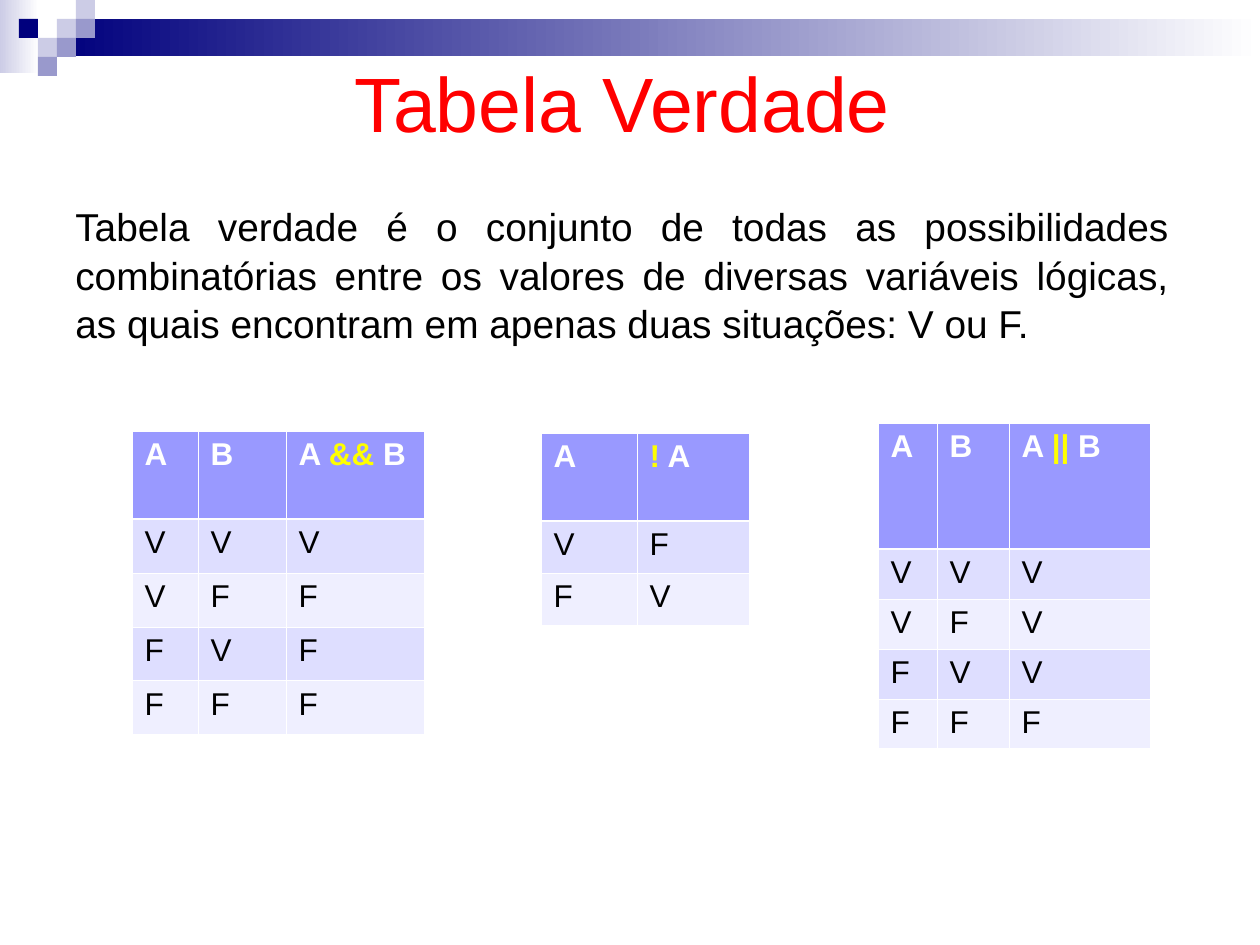
from lxml.etree import SubElement
from pptx import Presentation
from pptx.dml.color import RGBColor
from pptx.enum.shapes import MSO_SHAPE as Shape
from pptx.enum.text import MSO_ANCHOR as Anchor, PP_ALIGN as Align
from pptx.oxml.ns import qn
from pptx.util import Emu, Pt

PX = 914400 / 126
FONT = "Arial"
COLORS = {
    "navy": "00007D", "lilac": "CCCCE6", "violet": "9999CC", "white": "FFFFFF",
    "black": "000000", "red": "FF0000", "yellow": "FFFF00",
    "header": "9999FF", "odd": "DEDEFF", "even": "EFEFFF",
}

TITLE = "Tabela Verdade"
DEFINITION = (
    "Tabela verdade é o conjunto de todas as possibilidades combinatórias "
    "entre os valores de diversas variáveis lógicas, as quais encontram em "
    "apenas duas situações: V ou F."
)
OPERATORS = ("&&", "||", "!")

# Each heading is a tuple of spans; each body row is one string of values.
TABLES = [
    {"at": (132, 431), "columns": (66, 88, 138), "header_height": 88, "row_height": 54,
     "headings": [("A",), ("B",), ("A ", "&&", " B")],
     "rows": ["VVV", "VFF", "FVF", "FFF"]},
    {"at": (878, 423), "columns": (59, 72, 141), "header_height": 126, "row_height": 50,
     "headings": [("A",), ("B",), ("A ", "||", " B")],
     "rows": ["VVV", "VFV", "FVV", "FFF"]},
    {"at": (541, 433), "columns": (96, 112), "header_height": 88, "row_height": 52,
     "headings": [("A",), ("!", " A")],
     "rows": ["VF", "FV"]},
]

# Gradient bars: left, top, width, height, start colour (all fade to white).
BARS = [(0, 0, 39, 73, "lilac"), (57, 19, 1203, 37, "navy")]
# Mosaic squares: column, row, colour.
SQUARE = 19
MOSAIC = [
    (3, 1, "lilac"), (4, 0, "lilac"), (4, 1, "violet"), (2, 2, "lilac"),
    (1, 1, "navy"), (3, 2, "violet"), (2, 3, "violet"),
]


def px(*lengths):
    return [Emu(round(length * PX)) for length in lengths]


def rgb(name):
    return RGBColor.from_string(COLORS[name])


def write_text(frame, spans, size=18, color="black", bold=False, align=Align.LEFT,
               spacing=None):
    """Fill the first paragraph; operators are picked out in yellow."""
    para = frame.paragraphs[0]
    para.alignment = align
    para.line_spacing = spacing
    for text in spans:
        span = para.add_run()
        span.text = text
        span.font.name = FONT
        span.font.size = Pt(size)
        span.font.bold = bold
        span.font.color.rgb = rgb("yellow" if text in OPERATORS else color)


def add_block(page, left, top, width, height, color, fade=False):
    block = page.shapes.add_shape(Shape.RECTANGLE, *px(left, top, width, height))
    block.shadow.inherit = False
    block.line.fill.background()
    if fade:
        block.fill.gradient()
        block.fill.gradient_angle = 0
        for stop, name in zip(block.fill.gradient_stops, (color, "white")):
            stop.color.rgb = rgb(name)
    else:
        block.fill.solid()
        block.fill.fore_color.rgb = rgb(color)


def set_borders(cell, row):
    """Draw white borders, thicker between the header and the first row."""
    properties = cell._tc.get_or_add_tcPr()
    for side in "LRTB":
        thick = (row, side) in ((0, "B"), (1, "T"))
        line = SubElement(properties, qn(f"a:ln{side}"),
                          w=str(Pt(1.47 if thick else 0.45)))
        fill = SubElement(line, qn("a:solidFill"))
        SubElement(fill, qn("a:srgbClr"), val=COLORS["white"])


def add_truth_table(page, data):
    rows = [data["headings"], *data["rows"]]
    heights = [data["header_height"]] + [data["row_height"]] * len(data["rows"])
    table = page.shapes.add_table(
        len(rows), len(data["columns"]),
        *px(*data["at"], sum(data["columns"]), sum(heights))).table
    for column, width in zip(table.columns, px(*data["columns"])):
        column.width = width
    for r, (values, height) in enumerate(zip(rows, px(*heights))):
        table.rows[r].height = height
        header = r == 0
        fill = "header" if header else ("even", "odd")[r % 2]
        for c, spans in enumerate(values):
            cell = table.cell(r, c)
            set_borders(cell, r)
            cell.fill.solid()
            cell.fill.fore_color.rgb = rgb(fill)
            write_text(cell.text_frame, spans, bold=header,
                       color="white" if header else "black")


def main():
    deck = Presentation()
    deck.slide_width, deck.slide_height = px(1260, 945)
    page = deck.slides.add_slide(deck.slide_layouts[5])

    for *place, color in BARS:
        add_block(page, *place, color, fade=True)
    for column, row, color in MOSAIC:
        add_block(page, column * SQUARE, row * SQUARE, SQUARE, SQUARE, color)

    title = page.shapes.title
    page.shapes.element.append(title.element)  # in front of the decoration
    title.left, title.top, title.width, title.height = px(63, 23, 1119, 158)
    title.text_frame.vertical_anchor = Anchor.MIDDLE
    write_text(title.text_frame, [TITLE], size=44, color="red", align=Align.CENTER)

    for data in TABLES:
        add_truth_table(page, data)

    box = page.shapes.add_textbox(*px(63, 195, 1119, 207))
    box.text_frame.word_wrap = True
    write_text(box.text_frame, [DEFINITION], size=22.2, align=Align.JUSTIFY, spacing=1.04)

    deck.save("out.pptx")


if __name__ == "__main__":
    main()
